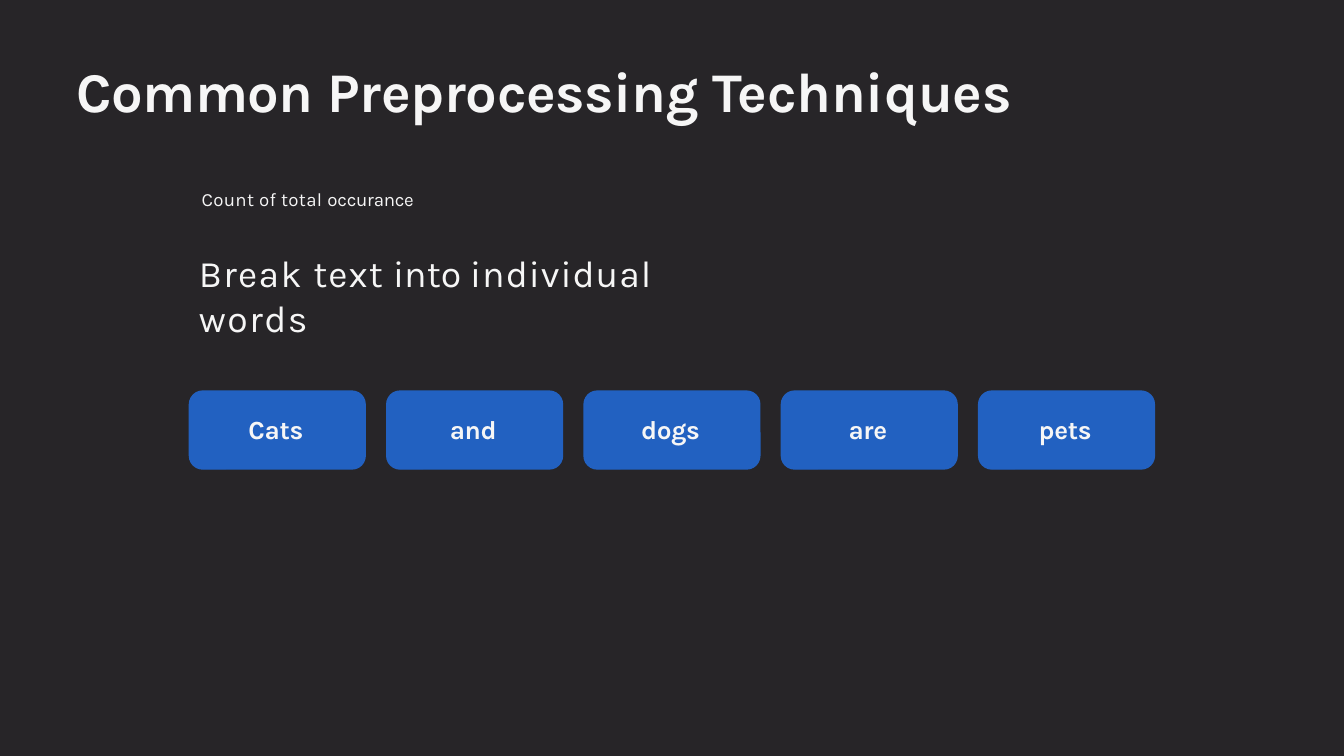
from pptx import Presentation
from pptx import util as u
from pptx.dml.color import RGBColor
from pptx.enum import shapes, text

DARK = RGBColor(0x27, 0x25, 0x28)
LIGHT = RGBColor(0xF6, 0xF6, 0xF6)
BLUE = RGBColor(0x22, 0x61, 0xC1)
FONT = "Karla"
WIDE = u.Inches(10)
HIGH = WIDE * 9 // 16
COLS, ROWS = 100, 56.25
WORDS = ["Cats", "and", "dogs", "are", "pets"]


def span(left, top, wide, high):
    """Turn grid columns and rows into slide lengths."""
    col, row = WIDE / COLS, HIGH / ROWS
    return [round(n) for n in (left * col, top * row, wide * col, high * row)]


def place(shape, box):
    """Move a shape to a box on the grid."""
    shape.left, shape.top, shape.width, shape.height = span(*box)


def write(shape, runs, size, bold=False, align=text.PP_ALIGN.LEFT,
          anchor=text.MSO_ANCHOR.TOP, inset=(0.01, 0.01, 0, 0)):
    """Fill a shape with runs, each a pair of words and letter spacing in points."""
    frame = shape.text_frame
    frame.word_wrap = True
    frame.auto_size = text.MSO_AUTO_SIZE.NONE
    frame.vertical_anchor = anchor
    (frame.margin_left, frame.margin_top,
     frame.margin_right, frame.margin_bottom) = map(u.Inches, inset)
    para = frame.paragraphs[0]
    para.alignment = align
    for words, gap in runs:
        run = para.add_run()
        run.text = words
        font = run.font
        font.name, font.size, font.bold = FONT, u.Pt(size), bold
        font.color.rgb = LIGHT
        run._r.get_or_add_rPr().set("spc", str(round(gap * 100)))


def head(slide, box):
    """Set the slide title in its placeholder."""
    place(slide.shapes.title, box)
    write(slide.shapes.title, [("Common ", -0.3), ("Preprocessing ", -0.2),
                               ("Techniques", -0.1)], size=30, bold=True)


def note(slide, box, runs, size):
    """Add a line of plain text."""
    write(slide.shapes.add_textbox(*span(*box)), runs, size=size)


def tiles(slide, box, words, gap=1.6):
    """Spread words over a row of equal rounded tiles."""
    left, top, wide, high = box
    each = (wide - gap * (len(words) - 1)) / len(words)
    for i, word in enumerate(words):
        tile = slide.shapes.add_shape(
            shapes.MSO_SHAPE.ROUNDED_RECTANGLE,
            *span(left + i * (each + gap), top, each, high))
        tile.adjustments[0] = 0.17
        tile.shadow.inherit = False
        tile.fill.solid()
        tile.fill.fore_color.rgb = BLUE
        tile.line.color.rgb = BLUE
        tile.line.width = u.Pt(0.75)
        write(tile, [(word, -0.2)], size=14, bold=True,
              align=text.PP_ALIGN.CENTER, anchor=text.MSO_ANCHOR.MIDDLE,
              inset=(0, 0, 0.02, 0.02))


def main():
    """Build the slide and save it."""
    deck = Presentation()
    deck.slide_width, deck.slide_height = WIDE, HIGH
    slide = deck.slides.add_slide(deck.slide_layouts[5])
    slide.background.fill.solid()
    slide.background.fill.fore_color.rgb = DARK
    head(slide, (5.6, 4.1, 73.9, 5.3))
    note(slide, (14.9, 13.9, 16.6, 1.9),
         [("Count of total ", 0.2), ("occurance", -0.1)], size=10)
    note(slide, (14.7, 18.5, 41.4, 7),
         [("Break ", 0.7), ("text", 0.6), (" into ", 0),
          ("individual ", 0.5), ("words", 0.8)], size=20)
    tiles(slide, (14.1, 29.1, 71.8, 5.8), WORDS)
    deck.save("out.pptx")


if __name__ == "__main__":
    main()
